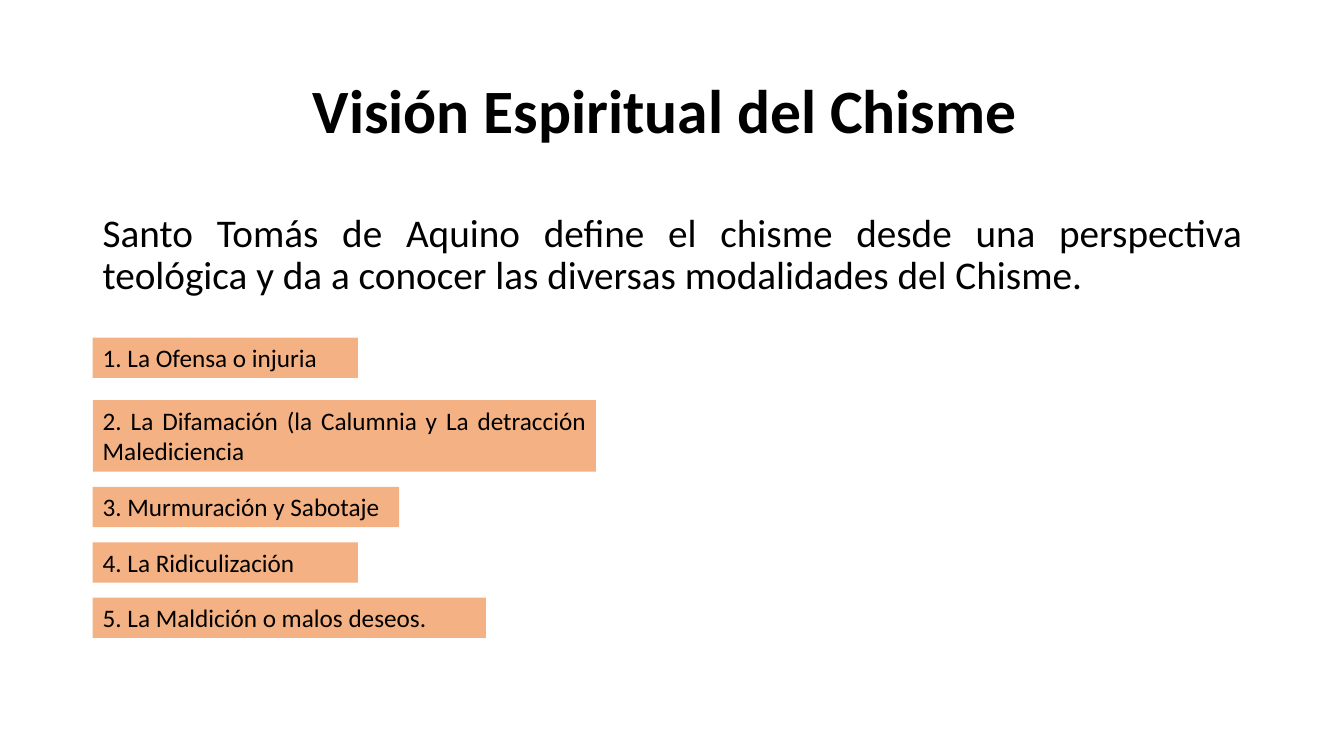
"""Build the slide on the spiritual view of gossip."""
from pptx import Presentation
from pptx import util as u
from pptx.dml import color
from pptx.enum import shapes, text

HUES = {"ink": "000000", "bar": "F4B183"}
LEFT = 0.92
WIDE = 11.5


def write(shape, words, size, align, anchor=text.MSO_ANCHOR.TOP):
    frame = shape.text_frame
    frame.word_wrap = True
    frame.vertical_anchor = anchor
    line = frame.paragraphs[0]
    line.text = words
    line.alignment = align
    line.font.name = "Calibri"
    line.font.size = u.Pt(size)
    line.font.color.rgb = color.RGBColor.from_string(HUES["ink"])
    return line


deck = Presentation()
deck.slide_width = u.Inches(13.33)
deck.slide_height = u.Inches(7.5)
slide = deck.slides.add_slide(deck.slide_layouts[6])

title = slide.shapes.add_textbox(u.Inches(LEFT), u.Inches(0.4), u.Inches(WIDE), u.Inches(1.45))
head = write(title, "Visión Espiritual del Chisme ", 44, text.PP_ALIGN.CENTER, text.MSO_ANCHOR.MIDDLE)
head.font.bold = True
head.line_spacing = 0.9

intro = slide.shapes.add_textbox(u.Inches(LEFT), u.Inches(2.07), u.Inches(WIDE), u.Inches(1.05))
lead = write(
    intro,
    "Santo Tomás de Aquino define el chisme desde una perspectiva teológica "
    "y da a conocer las diversas modalidades del Chisme.",
    28,
    text.PP_ALIGN.JUSTIFY,
)
lead.line_spacing = 0.9

kinds = [
    ("1. La Ofensa o injuria", 3.35, 2.63, 0.4),
    ("2. La Difamación (la Calumnia y La detracción Malediciencia", 3.97, 4.99, 0.71),
    ("3. Murmuración y Sabotaje", 4.83, 3.04, 0.4),
    ("4. La Ridiculización", 5.38, 2.63, 0.4),
    ("5. La Maldición o malos deseos.", 5.93, 3.9, 0.4),
]
for words, top, width, height in kinds:
    bar = slide.shapes.add_shape(
        shapes.MSO_SHAPE.RECTANGLE, u.Inches(LEFT), u.Inches(top), u.Inches(width), u.Inches(height)
    )
    bar.shadow.inherit = False
    bar.fill.solid()
    bar.fill.fore_color.rgb = color.RGBColor.from_string(HUES["bar"])
    bar.line.fill.background()
    write(bar, words, 18, text.PP_ALIGN.JUSTIFY)
    bar.text_frame.auto_size = text.MSO_AUTO_SIZE.SHAPE_TO_FIT_TEXT

deck.save("out.pptx")
